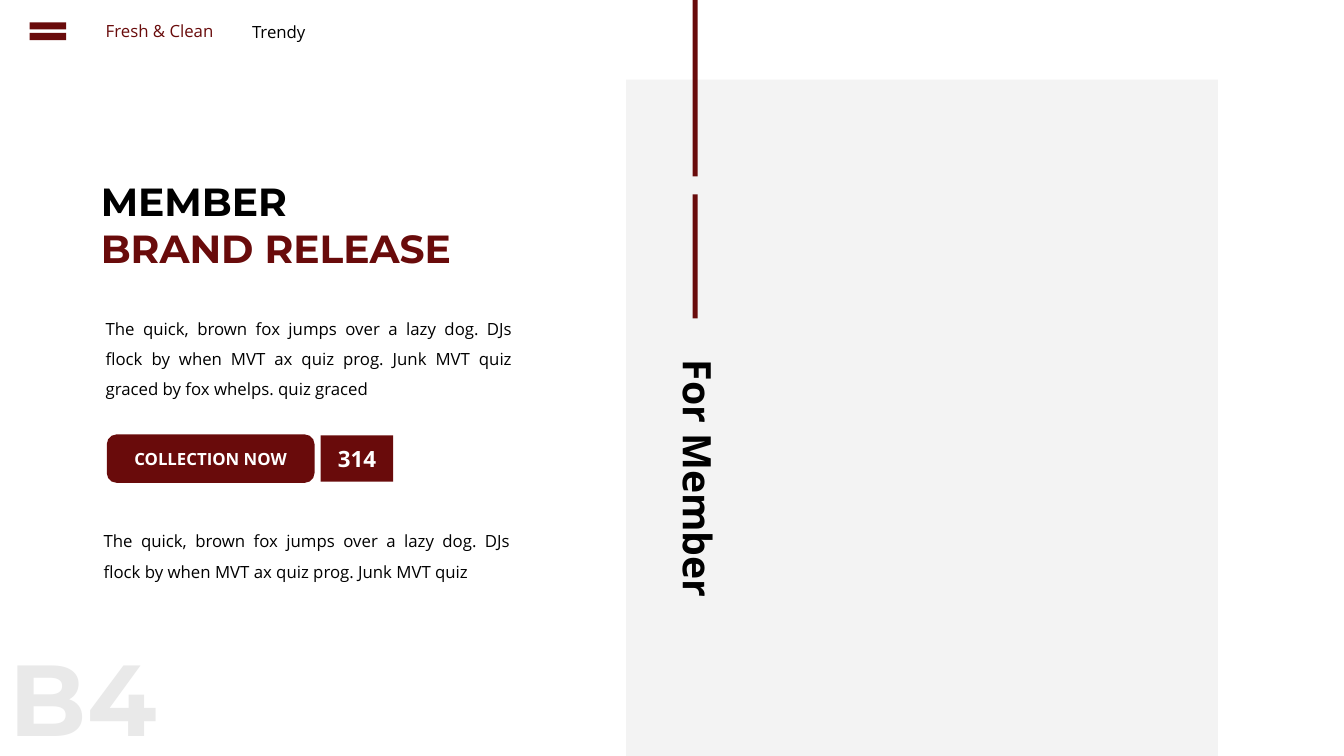
from dataclasses import dataclass

from lxml.etree import SubElement
from pptx import Presentation
from pptx.dml.color import RGBColor
from pptx.enum.shapes import MSO_SHAPE as Shape
from pptx.enum.text import MSO_ANCHOR as Anchor, MSO_AUTO_SIZE as AutoSize, PP_ALIGN as Align
from pptx.oxml.ns import qn
from pptx.util import Inches, Pt

COLORS = {
    "maroon": "690B0B",
    "black": "000000",
    "white": "FFFFFF",
    "panel": "F2F2F2",
    "mark": "E9E9E9",
}
BODY_FONT = "Open Sans"
HEAD_FONT = "Montserrat"
PANGRAM = "The quick, brown fox jumps over a lazy dog. DJs flock by when MVT ax quiz prog. Junk MVT quiz"


@dataclass
class Box:
    left: float
    top: float
    width: float
    height: float

    def emu(self) -> list:
        return [Inches(v) for v in (self.left, self.top, self.width, self.height)]


@dataclass
class Style:
    size: float = 12
    color: str = "black"
    bold: bool = False
    font: str = BODY_FONT
    align: Align = Align.LEFT
    spacing: float = 1.0


@dataclass
class Label:
    box: Box
    text: str
    style: Style
    wrap: bool = True
    rotation: float = 0


@dataclass
class Block:
    box: Box
    kind: Shape = Shape.RECTANGLE
    color: str = "maroon"
    text: str = ""
    size: float = 12


def rgb(name: str) -> RGBColor:
    return RGBColor.from_string(COLORS[name])


def format_paragraph(p, style: Style) -> None:
    p.alignment = style.align
    p.line_spacing = style.spacing
    p.font.size = Pt(style.size)
    p.font.bold = style.bold
    p.font.name = style.font
    p.font.color.rgb = rgb(style.color)


def add_label(slide, label: Label):
    sp = slide.shapes.add_textbox(*label.box.emu())
    sp.rotation = label.rotation
    tf = sp.text_frame
    tf.word_wrap = label.wrap
    tf.text = label.text
    format_paragraph(tf.paragraphs[0], label.style)
    return sp


def add_block(slide, block: Block):
    sp = slide.shapes.add_shape(block.kind, *block.box.emu())
    sp.shadow.inherit = False
    sp.fill.solid()
    sp.fill.fore_color.rgb = rgb(block.color)
    sp.line.fill.background()
    if block.text:
        tf = sp.text_frame
        tf.vertical_anchor = Anchor.MIDDLE
        tf.text = block.text
        format_paragraph(tf.paragraphs[0], Style(block.size, "white", True, align=Align.CENTER))
    return sp


def set_opacity(sp, percent: int) -> None:
    color = sp.fill._xPr.find(qn("a:solidFill"))[0]
    SubElement(color, qn("a:alpha"), val=str(percent * 1000))


def set_title(slide, box: Box, lines: dict[str, str]) -> None:
    """Place the title; lines maps each line's text to its colour name."""
    title = slide.shapes.title
    title.left, title.top, title.width, title.height = box.emu()
    tf = title.text_frame
    tf.word_wrap = True
    tf.auto_size = AutoSize.NONE
    tf.vertical_anchor = Anchor.TOP
    tf.text = "\n".join(lines)
    for p, color in zip(tf.paragraphs, lines.values()):
        format_paragraph(p, Style(28, color, True, HEAD_FONT))


BODY = Style(align=Align.JUSTIFY, spacing=1.5)

BLOCKS = [
    Block(Box(6.87, 0, 0.05, 1.75)),
    Block(Box(6.87, 1.93, 0.05, 1.23)),
    Block(Box(0.23, 0.16, 0.49, 0.3), Shape.MATH_EQUAL),
    Block(Box(3.18, 4.32, 0.72, 0.46), text="314", size=16),
]

LABELS = [
    Label(Box(0, 6.26, 1.75, 1.24), "B4", Style(72, "mark", True, HEAD_FONT), wrap=False),
    Label(Box(5.33, 4.78, 3.19, 0.57), "For Member", Style(28, bold=True), rotation=90),
    Label(Box(2.39, 0.17, 0.75, 0.3), "Trendy", Style(align=Align.CENTER), wrap=False),
    Label(Box(0.95, 0.16, 1.29, 0.3), "Fresh & Clean", Style(color="maroon"), wrap=False),
    Label(Box(0.95, 3.01, 4.23, 0.98), f"{PANGRAM} graced by fox whelps. quiz graced", BODY),
    Label(Box(0.93, 5.12, 4.23, 0.68), PANGRAM, BODY),
]


def main() -> None:
    prs = Presentation()
    prs.slide_width, prs.slide_height = Inches(13.33), Inches(7.5)
    slide = prs.slides.add_slide(prs.slide_layouts[5])

    panel = add_block(slide, Block(Box(6.21, 0.79, 5.87, 6.71), color="panel"))
    set_opacity(panel, 90)
    set_title(slide, Box(0.9, 1.71, 3.73, 1.04), {"MEMBER": "black", "BRAND RELEASE": "maroon"})
    for block in BLOCKS:
        add_block(slide, block)
    button = add_block(
        slide, Block(Box(1.06, 4.31, 2.06, 0.48), Shape.ROUNDED_RECTANGLE, text="COLLECTION NOW")
    )
    button.adjustments[0] = 0.2
    for label in LABELS:
        add_label(slide, label)

    prs.save("out.pptx")


if __name__ == "__main__":
    main()
